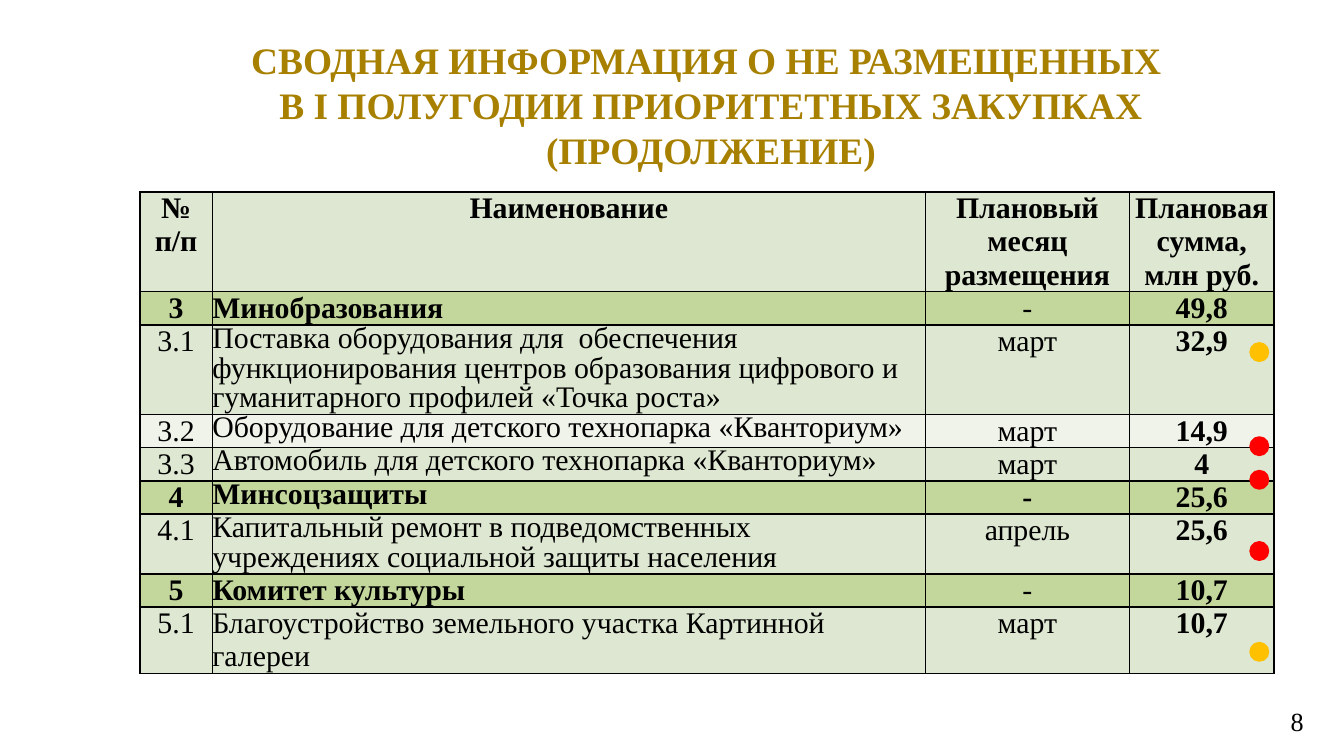
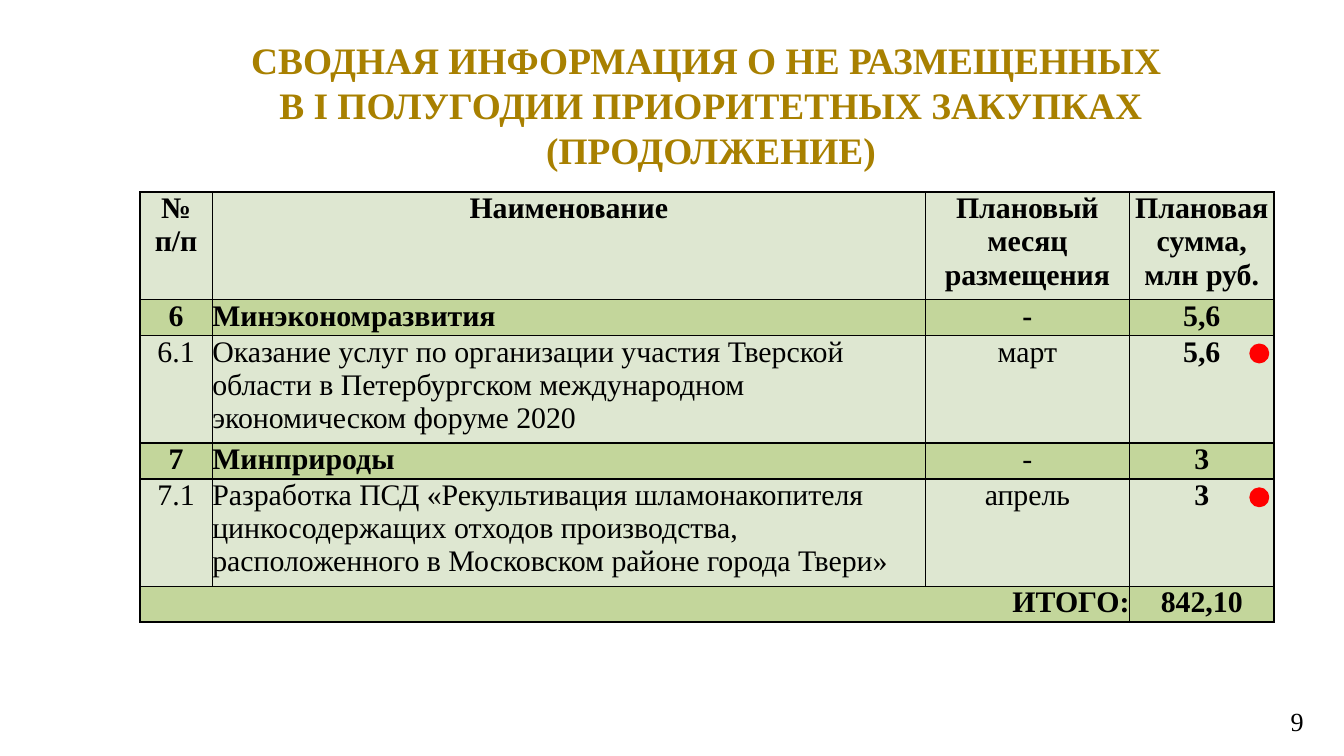
"""Builds two slides that tabulate priority purchases not yet placed."""
from dataclasses import dataclass
from typing import Optional

from lxml import etree
from pptx import Presentation
from pptx import util as u
from pptx.dml.color import RGBColor
from pptx.enum import shapes, text
from pptx.oxml import ns

WIDTH = u.Inches(10)
HEIGHT = WIDTH * 9 // 16
FONT = "Times New Roman"
COLORS = {
    "title": "A88000", "ink": "000000", "item": "DEE7D1", "light": "EFF3EA",
    "group": "C3D69B", "late": "FF0000", "warning": "FFC000",
}
COLUMNS = (5.4, 53.05, 15.2, 10.75)
ROW_HEIGHT = 3.02
LEFT, CENTER, RIGHT = text.PP_ALIGN.LEFT, text.PP_ALIGN.CENTER, text.PP_ALIGN.RIGHT
TITLE = ["СВОДНАЯ ИНФОРМАЦИЯ О НЕ РАЗМЕЩЕННЫХ ",
         "В I ПОЛУГОДИИ ПРИОРИТЕТНЫХ ЗАКУПКАХ (ПРОДОЛЖЕНИЕ)"]
HEADINGS = (["№", "п/п"], ["Наименование"], ["Плановый месяц размещения"],
            ["Плановая сумма, млн руб."])


@dataclass
class Purchase:
    """One table row; a row without a month is a group."""
    number: str
    name: str
    total: str
    month: str = "-"
    fill: str = "item"
    tight: bool = False
    bold_dash: bool = False
    dot: Optional[str] = None
    dot_top: float = 0

    @property
    def is_group(self):
        """Tell whether the row names a ministry or committee."""
        return self.month == "-"


EDUCATION_ROWS = [
    Purchase("3", "Минобразования", "49,8"),
    Purchase("3.1", "Поставка оборудования для  обеспечения функционирования центров "
             "образования цифрового и гуманитарного профилей «Точка роста»",
             "32,9", "март", tight=True, dot="warning", dot_top=2.56),
    Purchase("3.2", "Оборудование для детского технопарка «Кванториум»", "14,9", "март",
             fill="light", tight=True, dot="late", dot_top=3.26),
    Purchase("3.3", "Автомобиль для детского технопарка «Кванториум»", "4", "март",
             tight=True, dot="late", dot_top=3.51),
    Purchase("4", "Минсоцзащиты", "25,6", tight=True, bold_dash=True),
    Purchase("4.1", "Капитальный ремонт в подведомственных учреждениях социальной "
             "защиты населения", "25,6", "апрель", tight=True, dot="late", dot_top=4.04),
    Purchase("5", "Комитет культуры", "10,7"),
    Purchase("5.1", "Благоустройство земельного участка Картинной галереи", "10,7", "март",
             dot="warning", dot_top=4.79),
]
ECONOMY_ROWS = [
    Purchase("6", "Минэкономразвития", "5,6", bold_dash=True),
    Purchase("6.1", "Оказание услуг по организации участия Тверской области в Петербургском "
             "международном экономическом форуме 2020", "5,6", "март",
             dot="late", dot_top=2.57),
    Purchase("7", "Минприроды", "3"),
    Purchase("7.1", "Разработка ПСД «Рекультивация шламонакопителя цинкосодержащих отходов "
             "производства, расположенного в Московском районе города Твери»", "3", "апрель",
             dot="late", dot_top=3.64),
]


def color(name):
    """Return a palette colour."""
    return RGBColor.from_string(COLORS[name])


def across(percent):
    """Turn a percentage of the slide width into a length."""
    return round(WIDTH * percent / 100)


def down(percent):
    """Turn a percentage of the slide height into a length."""
    return round(HEIGHT * percent / 100)


def write(frame, lines, size, align, bold=False, ink="ink", spacing=None):
    """Write one styled run per paragraph."""
    for index, line in enumerate(lines):
        para = frame.add_paragraph() if index else frame.paragraphs[0]
        para.alignment = align
        if spacing:
            para.line_spacing = spacing
        span = para.add_run()
        span.text = line
        span.font.name, span.font.size, span.font.bold = FONT, u.Pt(size), bold
        span.font.color.rgb = color(ink)


def add_text(page, place, lines, size, align, **style):
    """Add a wrapping text box and return its frame."""
    box = page.shapes.add_textbox(*place)
    frame = box.text_frame
    frame.word_wrap = True
    frame.margin_left = frame.margin_right = u.Inches(0.07)
    frame.margin_top = frame.margin_bottom = u.Inches(0.04)
    write(frame, lines, size, align, **style)
    return frame


def add_borders(cell):
    """Draw thin lines on all four sides of a cell."""
    properties = cell._tc.get_or_add_tcPr()
    for side in ("a:lnL", "a:lnR", "a:lnT", "a:lnB"):
        line = etree.SubElement(properties, ns.qn(side), w=str(u.Pt(1)))
        fill = etree.SubElement(line, ns.qn("a:solidFill"))
        etree.SubElement(fill, ns.qn("a:srgbClr"), val=COLORS["ink"])


def style_cell(cell, fill):
    """Give a cell its borders, fill and zero margins."""
    add_borders(cell)
    cell.fill.solid()
    cell.fill.fore_color.rgb = color(fill)
    cell.margin_left = cell.margin_right = cell.margin_top = cell.margin_bottom = 0


def fill_purchase(cells, row):
    """Write one purchase into a row of cells."""
    fill = "group" if row.is_group else row.fill
    spacing = u.Pt(16) if row.tight else None
    values = (
        (row.number, CENTER, row.is_group, None),
        (row.name, LEFT, row.is_group, spacing),
        (row.month, CENTER, row.bold_dash, None),
        (row.total, CENTER, True, None),
    )
    for cell, (value, align, bold, gap) in zip(cells, values):
        style_cell(cell, fill)
        write(cell.text_frame, [value], 16, align, bold=bold, spacing=gap)


def fill_total(cells, total):
    """Write the closing total under a merged label."""
    for cell in cells:
        style_cell(cell, "group")
    cells[0].merge(cells[2])
    write(cells[0].text_frame, ["ИТОГО:"], 16, RIGHT, bold=True)
    write(cells[3].text_frame, [total], 16, CENTER, bold=True)


def add_purchases(page, rows, height, total=None):
    """Add the purchase table."""
    count = 1 + len(rows) + bool(total)
    holder = page.shapes.add_table(count, len(COLUMNS), across(10.4), down(25.4),
                                   across(sum(COLUMNS)), down(ROW_HEIGHT * count))
    table = holder.table
    table.horz_banding = False
    for column, percent in zip(table.columns, COLUMNS):
        column.width = across(percent)
    for line in table.rows:
        line.height = down(ROW_HEIGHT)
    holder.height = down(height)
    grid = [list(line.cells) for line in table.rows]
    for cell, heading in zip(grid[0], HEADINGS):
        style_cell(cell, "item")
        write(cell.text_frame, heading, 16, CENTER, bold=True)
    for cells, row in zip(grid[1:], rows):
        fill_purchase(cells, row)
    if total:
        fill_total(grid[-1], total)


def add_dot(page, row):
    """Mark a purchase with a status dot at the right edge."""
    size = across(1.2)
    dot = page.shapes.add_shape(shapes.MSO_SHAPE.OVAL, across(93.1),
                                u.Inches(row.dot_top), size, size)
    dot.shadow.inherit = False
    dot.fill.solid()
    dot.fill.fore_color.rgb = dot.line.color.rgb = color(row.dot)
    dot.line.width = u.Pt(2)


def add_page(deck, number, rows, height, total=None):
    """Add a slide with its table, page number, title and dots."""
    page = deck.slides.add_slide(deck.slide_layouts[6])
    add_purchases(page, rows, height, total)
    footer = (across(92.3), down(92.4), across(5.4), down(6))
    frame = add_text(page, footer, [str(number)], 14, RIGHT)
    frame.vertical_anchor = text.MSO_ANCHOR.MIDDLE
    heading = (across(11.05), down(4.2), across(83.7), down(7.7))
    add_text(page, heading, TITLE, 20, CENTER, bold=True, ink="title")
    for row in rows:
        if row.dot:
            add_dot(page, row)


def main():
    """Build and save the deck."""
    deck = Presentation()
    deck.slide_width, deck.slide_height = WIDTH, HEIGHT
    add_page(deck, 8, EDUCATION_ROWS, 64.4)
    add_page(deck, 9, ECONOMY_ROWS, 53.2, total="842,10")
    deck.save("out.pptx")


if __name__ == "__main__":
    main()
